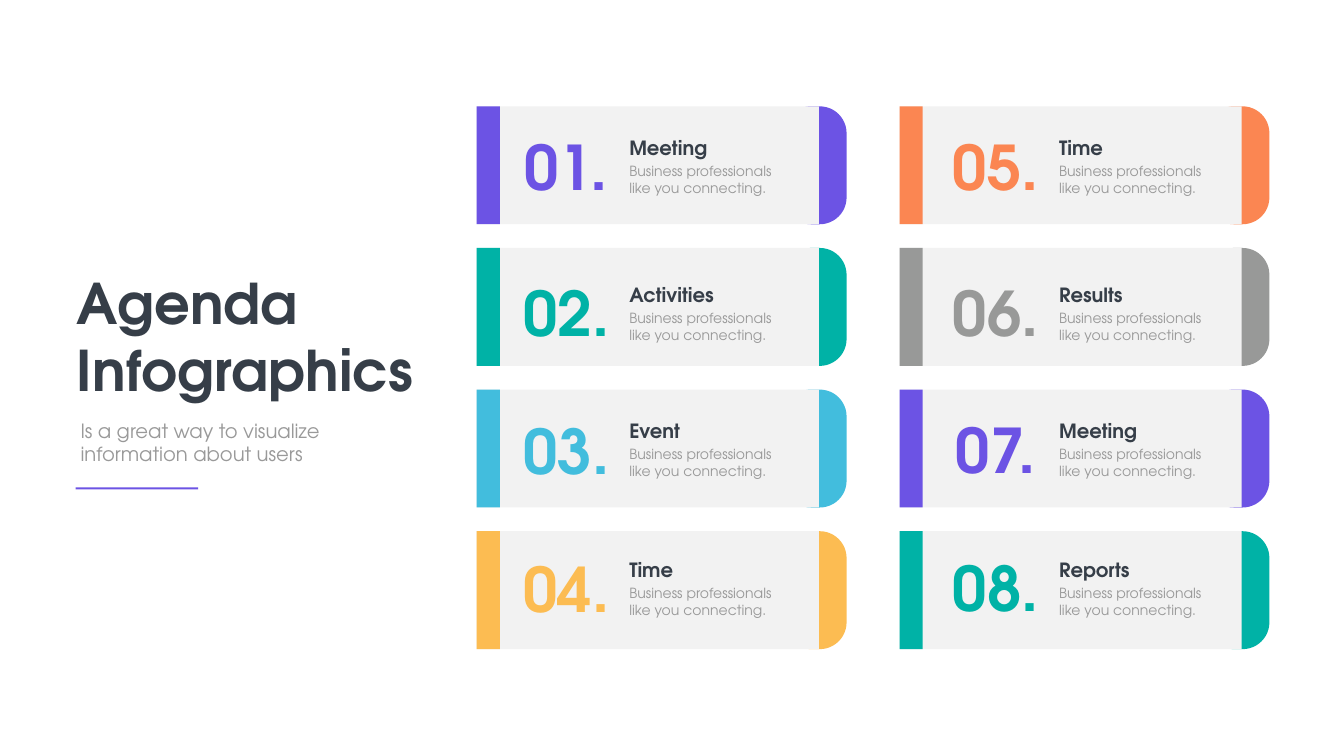
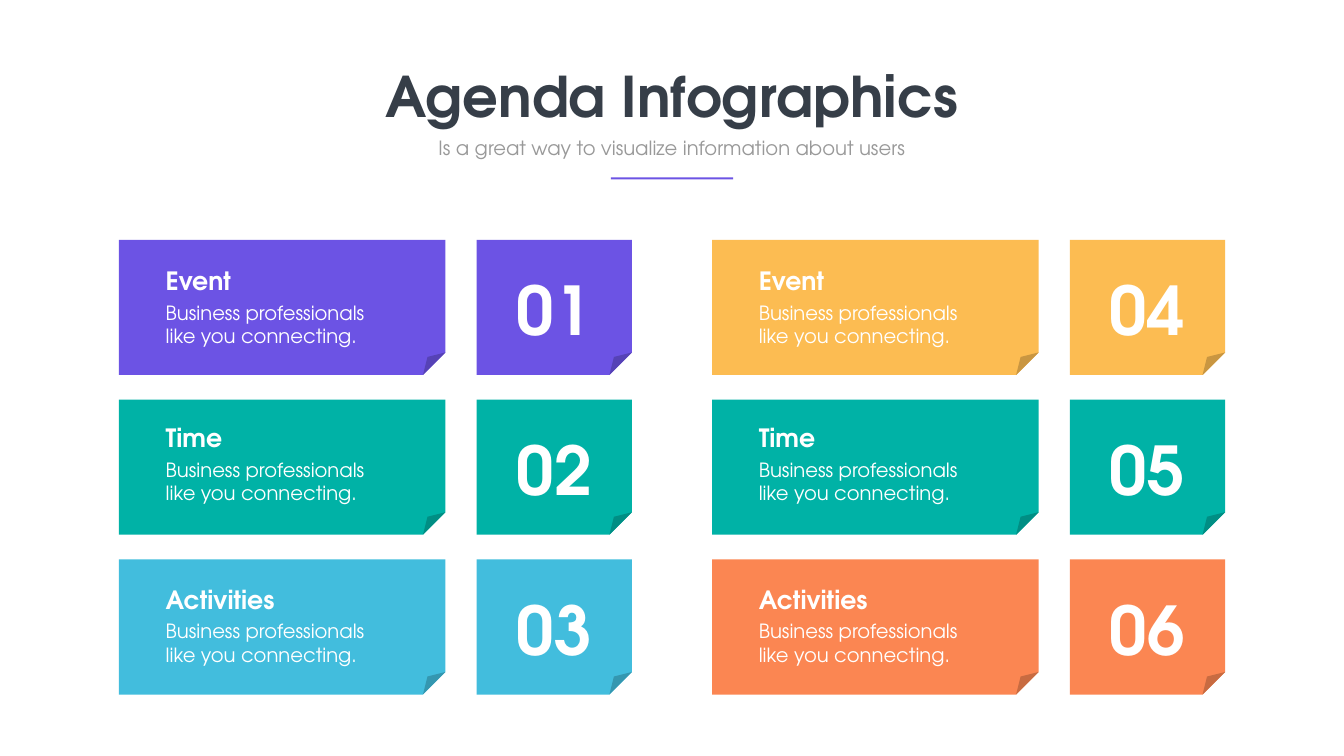
from dataclasses import dataclass
from typing import NamedTuple

from pptx import Presentation
from pptx.dml.color import RGBColor
from pptx.enum.shapes import MSO_SHAPE
from pptx.enum.text import MSO_AUTO_SIZE, PP_ALIGN
from pptx.util import Inches, Pt

RECTANGLE = MSO_SHAPE.RECTANGLE
ROUNDED = MSO_SHAPE.ROUNDED_RECTANGLE
FOLDED = MSO_SHAPE.FOLDED_CORNER
LEFT = PP_ALIGN.LEFT
CENTER = PP_ALIGN.CENTER
GROW = MSO_AUTO_SIZE.SHAPE_TO_FIT_TEXT


@dataclass(frozen=True)
class Theme:
    """Colours, font and type sizes shared by the slides."""

    font: str = "TeX Gyre Adventor"
    purple: str = "6C53E4"
    teal: str = "00B2A6"
    blue: str = "42BDDD"
    yellow: str = "FCBC52"
    orange: str = "FB8652"
    grey: str = "989998"
    panel: str = "F2F2F2"
    ink: str = "363E48"
    muted: str = "999999"
    white: str = "FFFFFF"
    title_size: int = 80
    subtitle_size: int = 28
    card_number_size: int = 88
    card_heading_size: int = 28
    card_detail_size: int = 20
    note_number_size: int = 96
    note_heading_size: int = 36
    note_detail_size: int = 28


class Box(NamedTuple):
    """A rectangle in inches."""

    left: float
    top: float
    width: float
    height: float

    def inner(self, left, top, width, height):
        """Return a box placed relative to this one."""
        return Box(self.left + left, self.top + top, width, height)

    def lengths(self):
        """Return the four sides as slide lengths."""
        return [Inches(round(side, 2)) for side in self]


THEME = Theme()
SUBTITLE = "Is a great way to visualize information about users"
DETAIL = ["Business professionals", "like you connecting."]

CARD_COLUMNS = [
    (9.46, 0, [
        ("Meeting", THEME.purple, 0.39),
        ("Activities", THEME.teal, 0.49),
        ("Event", THEME.blue, 0.42),
        ("Time", THEME.yellow, 0.35),
    ]),
    (17.85, 0.14, [
        ("Time", THEME.orange, 0.39),
        ("Results", THEME.grey, 0.49),
        ("Meeting", THEME.purple, 0.39),
        ("Reports", THEME.teal, 0.32),
    ]),
]
CARD_HEADING_TOPS = [0.54, 0.64, 0.54, 0.48]
CARD_TOP, CARD_PITCH = 2.11, 2.81

NOTE_COLUMNS = [
    (2.36, [THEME.purple, THEME.teal, THEME.blue]),
    (14.13, [THEME.yellow, THEME.teal, THEME.orange]),
]
NOTE_ROWS = [("Event", 0.46), ("Time", 0.40), ("Activities", 0.44)]
NOTE_TOP, NOTE_PITCH = 4.76, 3.17


def add_block(page, kind, box, color):
    """Add a flat filled shape without outline or shadow."""
    block = page.shapes.add_shape(kind, *box.lengths())
    block.shadow.inherit = False
    block.fill.solid()
    block.fill.fore_color.rgb = RGBColor.from_string(color)
    block.line.fill.background()
    return block


def add_text(page, box, lines, size, color, bold=False, align=LEFT, wrap=True):
    """Add a text box with one paragraph for each line."""
    frame = page.shapes.add_textbox(*box.lengths()).text_frame
    frame.word_wrap = wrap
    frame.auto_size = GROW
    for index, line in enumerate(lines):
        para = frame.paragraphs[0] if index == 0 else frame.add_paragraph()
        para.alignment = align
        span = para.add_run()
        span.text = line
        span.font.name = THEME.font
        span.font.size = Pt(size)
        span.font.bold = bold
        span.font.color.rgb = RGBColor.from_string(color)


def add_title(page, box, lines, align, wrap):
    """Add a bold slide title."""
    add_text(page, box, lines, THEME.title_size, THEME.ink, True, align, wrap)


def add_subtitle(page, box, align):
    """Add the subtitle shared by the slides."""
    add_text(page, box, [SUBTITLE], THEME.subtitle_size, THEME.muted, align=align)


def add_accent(page, left, top):
    """Add the thin accent bar under a heading."""
    add_block(page, RECTANGLE, Box(left, top, 2.43, 0.04), THEME.purple)


def add_side_header(page, box):
    """Add the left-aligned title block."""
    add_title(page, box.inner(0, 0, box.width, 2.79), ["Agenda", "Infographics"], LEFT, True)
    add_subtitle(page, box.inner(0.07, 2.98, 5.23, 1.04), LEFT)
    add_accent(page, box.left + 0.07, box.top + 4.39)


def add_top_header(page, box):
    """Add the centred title block."""
    add_title(page, box.inner(0, 0, box.width, 1.45), ["Agenda Infographics"], CENTER, False)
    add_subtitle(page, box.inner(1.08, 1.48, 9.56, 0.57), CENTER)
    add_accent(page, box.left + 4.65, box.top + 2.35)


def add_card(page, box, number, heading, color, text_shift, number_top, heading_top):
    """Add a numbered card with a colour band and a rounded end."""
    end = add_block(page, ROUNDED, box.inner(box.width - 1.24, 0, 1.24, box.height), color)
    end.adjustments[0] = 0.43
    add_block(page, RECTANGLE, box.inner(0, 0, 6.79, box.height), THEME.panel)
    add_block(page, RECTANGLE, box.inner(0, 0, 0.46, box.height), color)
    add_text(page, box.inner(0.81 + text_shift, number_top, 1.93, 1.58), [f"{number:02}."],
             THEME.card_number_size, color, True, CENTER, False)
    text_left = 2.93 + text_shift
    add_text(page, box.inner(text_left, heading_top + 0.53, 3.43, 0.77), DETAIL,
             THEME.card_detail_size, THEME.muted)
    add_text(page, box.inner(text_left, heading_top, 3.43, 0.57), [heading],
             THEME.card_heading_size, THEME.ink, True)


def add_note(page, box, number, heading, color, heading_top):
    """Add a folded note beside its folded number tile."""
    tile = box.inner(box.width - 3.08, 0, 3.08, box.height)
    add_block(page, FOLDED, tile, color)
    add_block(page, FOLDED, box.inner(0, 0, 6.48, box.height), color)
    add_text(page, box.inner(0.83, heading_top + 0.7, 4.89, 1.04), DETAIL,
             THEME.note_detail_size, THEME.white)
    add_text(page, box.inner(0.83, heading_top, 4.89, 0.71), [heading],
             THEME.note_heading_size, THEME.white, True)
    add_text(page, tile.inner(0.68, 0.52, 1.71, 1.72), [f"{number:02}"],
             THEME.note_number_size, THEME.white, True, CENTER, False)


def build_card_slide(page):
    """Build the agenda of eight cards in two columns."""
    number = 0
    for left, text_shift, cards in CARD_COLUMNS:
        for row, (heading, color, number_top) in enumerate(cards):
            number += 1
            box = Box(left, CARD_TOP + row * CARD_PITCH, 7.34, 2.34)
            add_card(page, box, number, heading, color, text_shift,
                     number_top, CARD_HEADING_TOPS[row])
    add_side_header(page, Box(1.43, 5.28, 6.94, 4.43))


def build_note_slide(page):
    """Build the agenda of six folded notes in two columns."""
    number = 0
    for left, colors in NOTE_COLUMNS:
        for row, (color, (heading, heading_top)) in enumerate(zip(colors, NOTE_ROWS)):
            number += 1
            box = Box(left, NOTE_TOP + row * NOTE_PITCH, 10.18, 2.68)
            add_note(page, box, number, heading, color, heading_top)
    add_top_header(page, Box(7.47, 1.17, 11.72, 2.39))


def main():
    """Create the deck and save it."""
    deck = Presentation()
    deck.slide_width = Inches(26.67)
    deck.slide_height = Inches(15)
    blank = deck.slide_layouts[6]
    for build in (build_card_slide, build_note_slide):
        build(deck.slides.add_slide(blank))
    deck.save("out.pptx")


if __name__ == "__main__":
    main()
